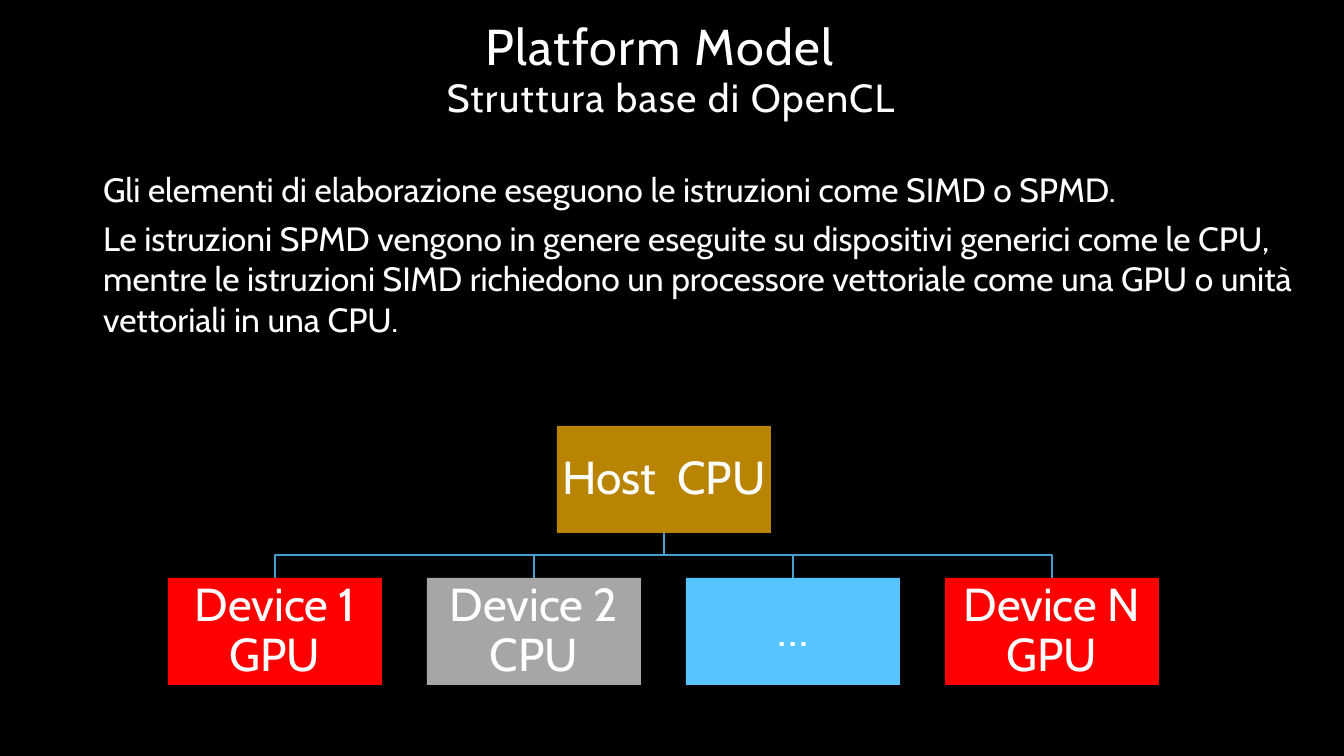
from dataclasses import dataclass

from pptx import Presentation
from pptx.dml.color import RGBColor
from pptx.enum.shapes import MSO_SHAPE
from pptx.enum.text import MSO_ANCHOR, MSO_AUTO_SIZE, PP_ALIGN
from pptx.oxml.ns import qn
from pptx.shapes.base import BaseShape
from pptx.slide import Slide
from pptx.util import Emu, Pt

WHITE = "FFFFFF"
BOX_W, BOX_H = 214, 107
HOST_X, HOST_Y = 557, 426
ROW_X, ROW_Y, STEP = 168, 578, 259
BUS_Y = 555


@dataclass
class Node:
    text: str
    fill: str


HOST = Node("Host  CPU", "BA8403")
DEVICES = [
    Node("Device 1 GPU", "FF0000"),
    Node("Device 2 CPU", "A6A6A6"),
    Node("…", "56C5FF"),
    Node("Device N GPU", "FF0000"),
]
POINTS = [
    "Gli elementi di elaborazione eseguono le istruzioni come SIMD o SPMD.",
    "Le istruzioni SPMD vengono in genere eseguite su dispositivi generici come le CPU, "
    "mentre le istruzioni SIMD richiedono un processore vettoriale come una GPU "
    "o unità vettoriali in una CPU.",
]
CENTRED = {"alignment": PP_ALIGN.CENTER, "line_spacing": 0.9, "space_before": Pt(0)}
LISTED = {"alignment": PP_ALIGN.LEFT, "space_before": Pt(0), "space_after": Pt(6)}


def px(n: int) -> Emu:
    return Emu(round(n * 914400 / 100.8))


def rgb(code: str) -> RGBColor:
    return RGBColor.from_string(code)


def apply(target: object, values: dict) -> None:
    for name, value in values.items():
        setattr(target, name, value)


def place(shape: BaseShape, x: int, y: int, w: int, h: int) -> None:
    apply(shape, {"left": px(x), "top": px(y), "width": px(w), "height": px(h)})


def write(shape: BaseShape, lines: list[str], size: int, style: dict,
          anchor: MSO_ANCHOR = MSO_ANCHOR.TOP, track: int = 0, plain: bool = False) -> None:
    """Fill a shape with paragraphs; track is in points, plain removes bullets."""
    frame = shape.text_frame
    frame.text = "\n".join(lines)
    apply(frame, {"word_wrap": True, "auto_size": MSO_AUTO_SIZE.NONE,
                  "vertical_anchor": anchor})
    for para in frame.paragraphs:
        apply(para, style)
        if plain:
            props = para._p.get_or_add_pPr()
            props.set("marL", "0")
            props.set("indent", "0")
            props.append(props.makeelement(qn("a:buNone"), {}))
        for run in para.runs:
            apply(run.font, {"name": "Cabin", "size": Pt(size)})
            run.font.color.rgb = rgb(WHITE)
            if track:
                run._r.get_or_add_rPr().set("spc", str(track * 100))


def add_box(slide: Slide, node: Node, x: int, y: int) -> None:
    box = slide.shapes.add_shape(MSO_SHAPE.RECTANGLE, px(x), px(y), px(BOX_W), px(BOX_H))
    box.shadow.inherit = False
    box.fill.solid()
    box.fill.fore_color.rgb = rgb(node.fill)
    box.line.fill.background()
    sides = ("left", "top", "right", "bottom")
    apply(box.text_frame, {f"margin_{side}": px(2) for side in sides})
    write(box, [node.text], 33, CENTRED, MSO_ANCHOR.MIDDLE)


def add_link(slide: Slide, x: int) -> None:
    """Draw the elbow line from the host down to the device box at x."""
    start, end = HOST_X + BOX_W // 2, x + BOX_W // 2
    path = slide.shapes.build_freeform(px(start), px(HOST_Y + BOX_H))
    turns = [(start, BUS_Y), (end, BUS_Y), (end, ROW_Y)]
    path.add_line_segments([(px(a), px(b)) for a, b in turns], close=False)
    link = path.convert_to_shape()
    link.shadow.inherit = False
    link.fill.background()
    link.line.color.rgb = rgb("459ECC")
    link.line.width = Pt(1)


def main() -> None:
    deck = Presentation()
    apply(deck, {"slide_width": px(1344), "slide_height": px(756)})
    slide = deck.slides.add_slide(deck.slide_layouts[1])
    slide.background.fill.solid()
    slide.background.fill.fore_color.rgb = rgb("000000")

    title, body = slide.placeholders
    place(title, 124, 17, 1072, 67)
    write(title, ["Platform Model"], 36, CENTRED, track=1)
    place(body, 93, 164, 1212, 181)
    write(body, POINTS, 24, LISTED, plain=True)
    head = slide.shapes.add_textbox(px(167), px(74), px(1008), px(67))
    write(head, ["Struttura base di OpenCL"], 28, CENTRED, track=1)

    spots = [ROW_X + i * STEP for i in range(len(DEVICES))]
    for x in reversed(spots):
        add_link(slide, x)
    add_box(slide, HOST, HOST_X, HOST_Y)
    for node, x in zip(DEVICES, spots):
        add_box(slide, node, x, ROW_Y)
    deck.save("out.pptx")


if __name__ == "__main__":
    main()
